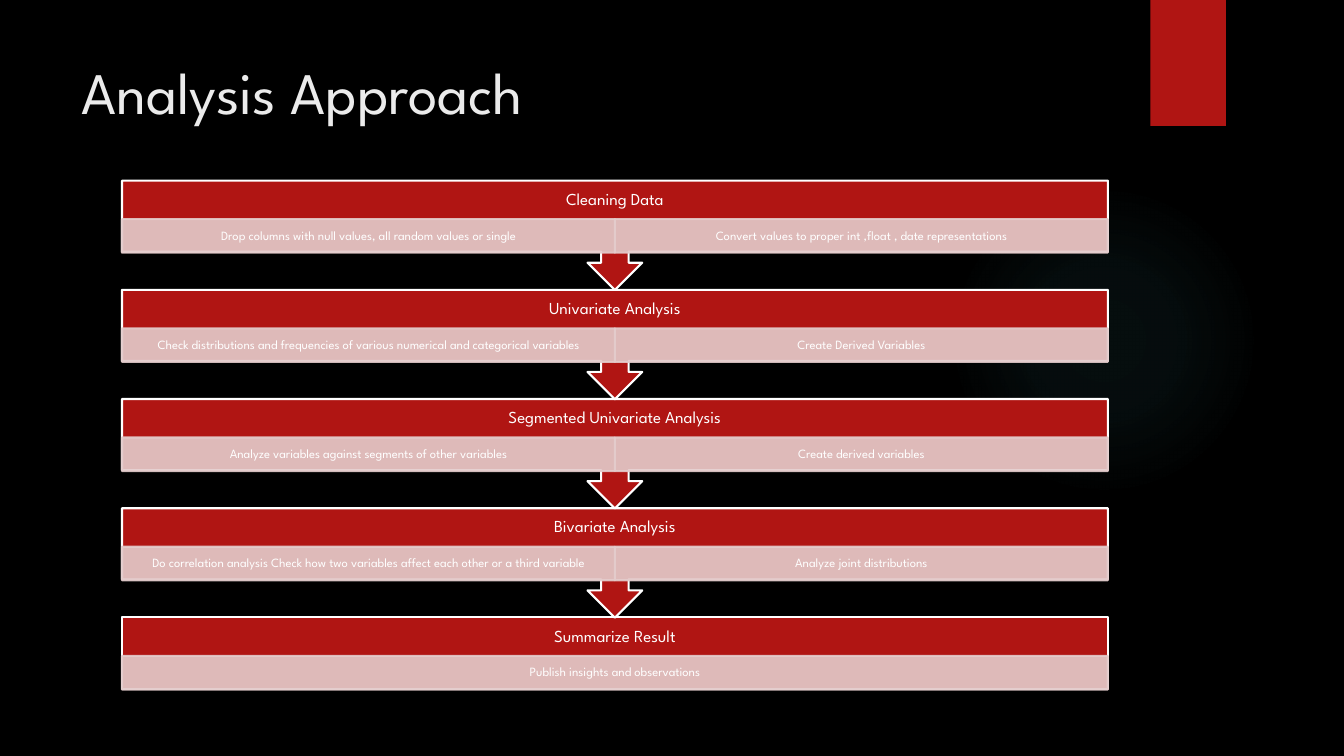
from pptx import Presentation
from pptx.dml.color import RGBColor
from pptx.enum.shapes import MSO_SHAPE as SHAPE
from pptx.enum.text import MSO_ANCHOR as ANCHOR, PP_ALIGN as ALIGN
from pptx.oxml import parse_xml
from pptx.oxml.ns import nsdecls, qn
from pptx.util import Pt

BLACK = RGBColor(0x00, 0x00, 0x00)
RED = RGBColor(0xB0, 0x15, 0x13)
PINK = RGBColor(0xE4, 0xCC, 0xCC)
WHITE = RGBColor(0xFF, 0xFF, 0xFF)
OFF_WHITE = RGBColor(0xEB, 0xEB, 0xEB)
GLOW_COLOUR = RGBColor(0x50, 0xB9, 0xC1)
FONT = "League Spartan"

STEPS = [
    ("Cleaning Data", ["Drop columns with null values, all random values or single",
                       "Convert values to proper int ,float , date representations"]),
    ("Univariate Analysis", ["Check distributions and frequencies of various numerical and categorical variables",
                             "Create Derived Variables"]),
    ("Segmented Univariate Analysis", ["Analyze variables against segments of other variables",
                                       "Create derived variables"]),
    ("Bivariate Analysis", ["Do correlation analysis Check how two variables affect each other or a third variable",
                            "Analyze joint distributions"]),
    ("Summarize Result", ["Publish insights and observations"]),
]
LEFT, TOP, WIDTH, PITCH = 87.1, 129, 704.2, 78
CALLOUT_HEIGHT, BOX_HEIGHT = 78.2, 51
DETAIL_OFFSET, DETAIL_HEIGHT = 27.5, 24

prs = Presentation()
prs.slide_width, prs.slide_height = Pt(960), Pt(540)
slide = prs.slides.add_slide(prs.slide_layouts[6])
slide.background.fill.solid()
slide.background.fill.fore_color.rgb = BLACK


def add_block(kind, left, top, width, height, fill, line=None):
    block = slide.shapes.add_shape(kind, Pt(left), Pt(top), Pt(width), Pt(height))
    block.shadow.inherit = False
    block.fill.solid()
    block.fill.fore_color.rgb = fill
    if line is None:
        block.line.fill.background()
    else:
        block.line.color.rgb = line
        block.line.width = Pt(1.5)
    return block


def write(shape, text, size, colour, align, **frame_format):
    frame = shape.text_frame
    frame.word_wrap = True
    for name, value in frame_format.items():
        setattr(frame, name, value)
    paragraph = frame.paragraphs[0]
    paragraph.alignment = align
    run = paragraph.add_run()
    run.text = text
    for name, value in {"name": FONT, "size": Pt(size)}.items():
        setattr(run.font, name, value)
    run.font.color.rgb = colour
    return paragraph


glow = add_block(SHAPE.OVAL, 677.5, 131.8, 221.8, 221.8, GLOW_COLOUR)
stops = "".join(
    f'<a:gs pos="{position}000"><a:srgbClr val="{GLOW_COLOUR}"><a:alpha val="{alpha}000"/></a:srgbClr></a:gs>'
    for position, alpha in [(0, 7), (36, 6), (69, 0)])
gradient = parse_xml(
    f'<a:gradFill {nsdecls("a")}><a:gsLst>{stops}</a:gsLst><a:path path="circle">'
    '<a:fillToRect l="50000" t="50000" r="50000" b="50000"/></a:path></a:gradFill>')
solid = glow.element.spPr.find(qn("a:solidFill"))
glow.element.spPr.replace(solid, gradient)

add_block(SHAPE.RECTANGLE, 821.7, 0, 54, 90, RED)

title = slide.shapes.add_textbox(Pt(51), Pt(36), Pt(741), Pt(110))
write(title, "Analysis Approach", 42, OFF_WHITE, ALIGN.LEFT, vertical_anchor=ANCHOR.TOP)

# Later steps go first, so that each arrow tip lies over the next step
for index, (heading, details) in reversed(list(enumerate(STEPS))):
    top = TOP + index * PITCH
    last = index == len(STEPS) - 1
    kind = SHAPE.RECTANGLE if last else SHAPE.DOWN_ARROW_CALLOUT
    height = BOX_HEIGHT if last else CALLOUT_HEIGHT
    step = add_block(kind, LEFT, top, WIDTH, height, RED, WHITE)
    write(step, heading, 12, WHITE, ALIGN.CENTER, vertical_anchor=ANCHOR.MIDDLE,
          margin_top=Pt(6.5), margin_bottom=Pt(30)).line_spacing = 0.9

    detail_width = WIDTH / len(details)
    for column, text in enumerate(details):
        detail = add_block(SHAPE.RECTANGLE, LEFT + column * detail_width, top + DETAIL_OFFSET,
                           detail_width, DETAIL_HEIGHT, PINK, PINK)
        for colour in detail.element.spPr.iter(qn("a:srgbClr")):
            colour.append(parse_xml(f'<a:alpha {nsdecls("a")} val="90000"/>'))
        write(detail, text, 9, WHITE, ALIGN.CENTER, vertical_anchor=ANCHOR.MIDDLE,
              margin_top=Pt(1), margin_bottom=Pt(1)).line_spacing = 0.9

prs.save("out.pptx")
